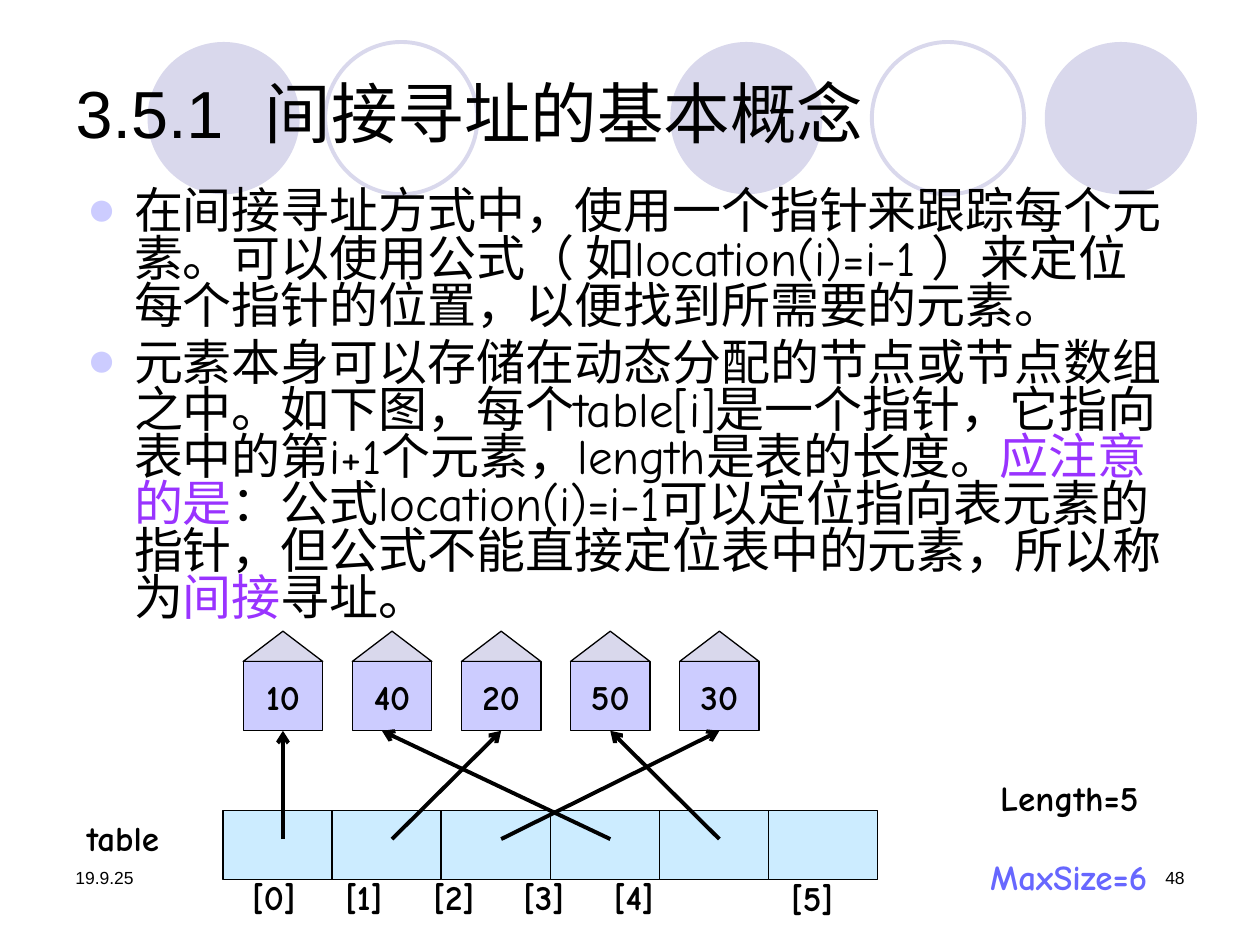
from lxml import etree
from pptx import Presentation
from pptx.dml.color import RGBColor
from pptx.enum import shapes as kinds, text as styles
from pptx.oxml.ns import qn
from pptx.util import Pt

BLACK, PURPLE, LAVENDER, PALE, SKY = "000000", "9933FF", "CCCCFF", "D9D8EC", "CCECFF"
COMIC = "Comic Neue"
PITCH = 62.35
CELL_LEFT, CELL_TOP, CELL_HEIGHT = 127.4, 463, 39.6
HOUSE_LEFT, HOUSE_TOP, HOUSE_WIDTH = 139, 378, 45.4
ROOF_HEIGHT = 17.3
VALUES = ["10", "40", "20", "50", "30"]
POINTS_TO = [0, 2, 4, 1, 3]  # house that each table cell refers to
BULLETS = [
    [("在间接寻址方式中，使用一个指针来跟踪每个元素。可以使用公式（ 如location(i)=i-1 ）"
      "来定位每个指针的位置，以便找到所需要的元素。", BLACK)],
    [("元素本身可以存储在动态分配的节点或节点数组之中。如下图，每个table[i]是一个指针，"
      "它指向表中的第i+1个元素，length是表的长度。", BLACK),
     ("应注意的是", PURPLE),
     ("：公式location(i)=i-1可以定位指向表元素的指针，但公式不能直接定位表中的元素，所以称为", BLACK),
     ("间接", PURPLE),
     ("寻址。", BLACK)],
]


def color(hex_code):
    return RGBColor.from_string(hex_code)


def add_run(paragraph, words, size, font, hex_code=BLACK, bold=False):
    run = paragraph.add_run()
    run.text = words
    run.font.size = Pt(size)
    run.font.name = font
    run.font.bold = bold
    run.font.color.rgb = color(hex_code)


def add_outline(slide, kind, left, top, width, height, fill=None, line=None, weight=0.75):
    shape = slide.shapes.add_shape(kind, Pt(left), Pt(top), Pt(width), Pt(height))
    shape.shadow.inherit = False
    if fill:
        shape.fill.solid()
        shape.fill.fore_color.rgb = color(fill)
    else:
        shape.fill.background()
    if line:
        shape.line.color.rgb = color(line)
        shape.line.width = Pt(weight)
    else:
        shape.line.fill.background()
    return shape


def add_frame(slide, left, top, width, height):
    frame = slide.shapes.add_textbox(Pt(left), Pt(top), Pt(width), Pt(height)).text_frame
    frame.word_wrap = True
    return frame


def add_label(slide, words, left, top, width, hex_code=BLACK):
    paragraph = add_frame(slide, left, top, width, 31).paragraphs[0]
    add_run(paragraph, words, 20, COMIC, hex_code, True)
    return paragraph


def add_footer(slide, words, left, align):
    paragraph = add_frame(slide, left, 492, 168, 36).paragraphs[0]
    paragraph.alignment = align
    add_run(paragraph, words, 10, "Arial")


def add_circles(slide):
    for left, filled in [(383, True), (597, True), (84.3, True), (498.2, False), (185.8, False)]:
        add_outline(slide, kinds.MSO_SHAPE.OVAL, left, 24, 87, 87,
                    PALE if filled else None, None if filled else PALE, 2.25)


def format_title(slide):
    title = slide.shapes.title
    tree = title._element.getparent()
    tree.append(title._element)  # in front of the circles
    title.left, title.top, title.width, title.height = Pt(36), Pt(21.6), Pt(648), Pt(90)
    frame = title.text_frame
    frame.auto_size = styles.MSO_AUTO_SIZE.NONE
    frame.vertical_anchor = styles.MSO_ANCHOR.MIDDLE
    paragraph = frame.paragraphs[0]
    paragraph.alignment = styles.PP_ALIGN.LEFT
    paragraph.line_spacing = 0.9
    add_run(paragraph, "3.5.1\t间接寻址的基本概念", 38, "Arial")


def set_bullet(paragraph):
    props = paragraph._p.get_or_add_pPr()
    props.set("marL", str(Pt(27)))
    props.set("indent", str(-Pt(27)))
    tint = etree.SubElement(props, qn("a:buClr"))
    etree.SubElement(tint, qn("a:srgbClr"), val=LAVENDER)
    etree.SubElement(props, qn("a:buFont"), typeface="Arial")
    etree.SubElement(props, qn("a:buChar"), char="●")


def add_bullets(slide):
    frame = add_frame(slide, 42.5, 105.8, 632.2, 226)
    for index, runs in enumerate(BULLETS):
        paragraph = frame.add_paragraph() if index else frame.paragraphs[0]
        set_bullet(paragraph)
        paragraph.line_spacing = 0.8
        if index:
            paragraph.space_before = Pt(5.6)
        for words, hex_code in runs:
            add_run(paragraph, words, 28, COMIC, hex_code)


def add_house(slide, index, value):
    left = HOUSE_LEFT + index * PITCH
    add_outline(slide, kinds.MSO_SHAPE.ISOSCELES_TRIANGLE, left, HOUSE_TOP - ROOF_HEIGHT,
                HOUSE_WIDTH, ROOF_HEIGHT, PALE, BLACK)
    house = add_outline(slide, kinds.MSO_SHAPE.RECTANGLE, left, HOUSE_TOP,
                        HOUSE_WIDTH, CELL_HEIGHT, LAVENDER, BLACK)
    frame = house.text_frame
    frame.word_wrap = False
    frame.vertical_anchor = styles.MSO_ANCHOR.MIDDLE
    frame.paragraphs[0].alignment = styles.PP_ALIGN.CENTER
    add_run(frame.paragraphs[0], value, 20, COMIC, bold=True)
    return house


def add_pointer(slide, cell, target, houses):
    center = HOUSE_LEFT + HOUSE_WIDTH / 2
    off_center = -5.8 if target == 1 else 0
    arrow = slide.shapes.add_connector(
        kinds.MSO_CONNECTOR.STRAIGHT,
        Pt(center + cell * PITCH), Pt(479.5),
        Pt(center + target * PITCH + off_center), Pt(HOUSE_TOP + CELL_HEIGHT))
    if not off_center:
        arrow.end_connect(houses[target], 2)
    arrow.line.color.rgb = color(BLACK)
    arrow.line.width = Pt(2.25)
    etree.SubElement(arrow.line._get_or_add_ln(), qn("a:tailEnd"), type="arrow")
    etree.SubElement(arrow._element.spPr, qn("a:effectLst"))


def add_indices(slide):
    """Five cell indices in one line, each centred on a tab stop."""
    count = len(POINTS_TO)
    paragraph = add_label(slide, "".join(f"\t[{i}]" for i in range(count)), 116, 497, 385)
    tabs = etree.SubElement(paragraph._p.get_or_add_pPr(), qn("a:tabLst"))
    for i in range(count):
        etree.SubElement(tabs, qn("a:tab"), pos=str(Pt(33.5 + 51.4 * i)), algn="ctr")


def add_diagram(slide):
    for cell in range(6):
        add_outline(slide, kinds.MSO_SHAPE.RECTANGLE, CELL_LEFT + cell * PITCH, CELL_TOP,
                    PITCH, CELL_HEIGHT, SKY, BLACK)
    houses = [add_house(slide, i, value) for i, value in enumerate(VALUES)]
    for cell, target in enumerate(POINTS_TO):
        add_pointer(slide, cell, target, houses)
    add_indices(slide)
    add_label(slide, "[5]", 445, 497.5, 42)
    add_label(slide, "table", 42.5, 463, 85)
    add_label(slide, "Length=5", 564.5, 440, 113)
    add_label(slide, "MaxSize=6", 558.7, 485.3, 121, "6767FF")


def main():
    deck = Presentation()
    deck.slide_width, deck.slide_height = Pt(720), Pt(540)
    slide = deck.slides.add_slide(deck.slide_layouts[5])
    add_circles(slide)
    add_footer(slide, "19.9.25", 36, styles.PP_ALIGN.LEFT)
    add_footer(slide, "48", 516, styles.PP_ALIGN.RIGHT)
    format_title(slide)
    add_bullets(slide)
    add_diagram(slide)
    deck.save("out.pptx")


if __name__ == "__main__":
    main()
